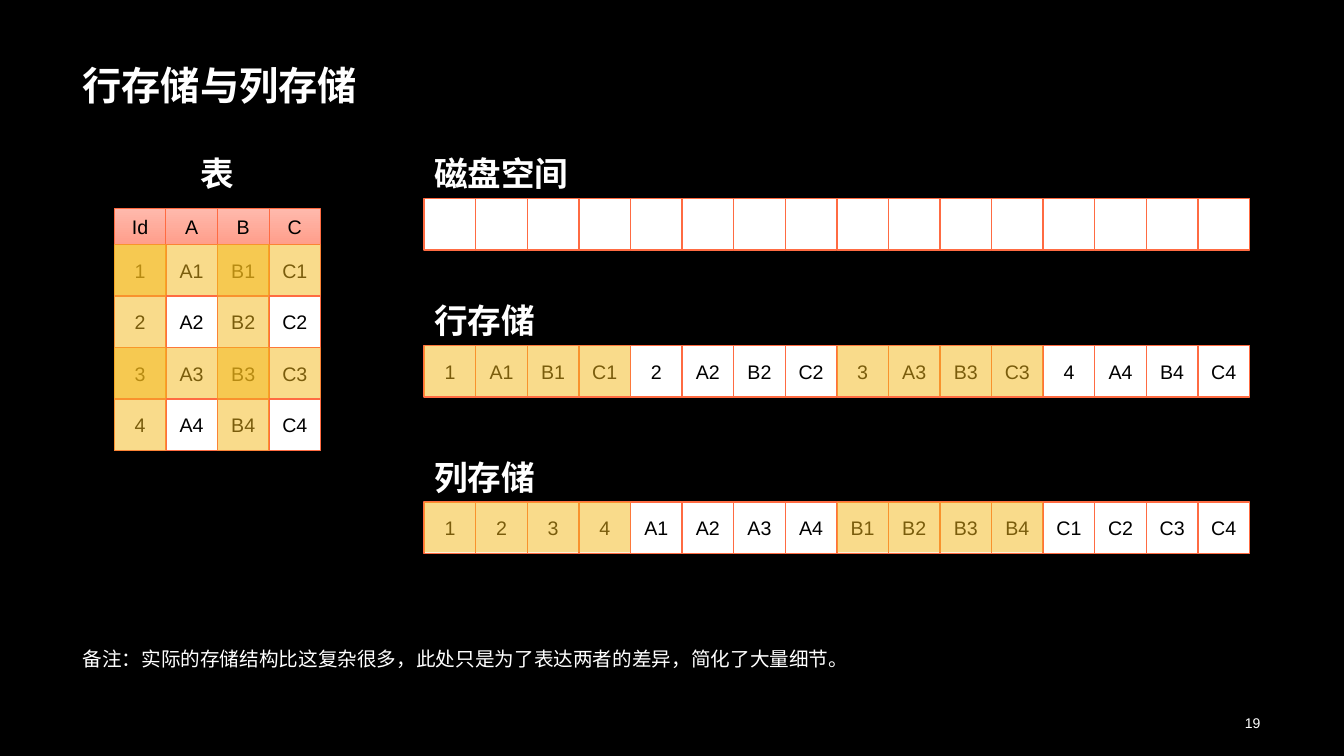
import dataclasses
import typing

import pptx
import pptx.dml.color
import pptx.enum.shapes
import pptx.enum.text
import pptx.oxml.ns
import pptx.util
from lxml import etree

Cm = pptx.util.Cm
Pt = pptx.util.Pt
ALIGN = pptx.enum.text.PP_ALIGN
ANCHOR = pptx.enum.text.MSO_ANCHOR

CELL = 1.3
HEAD = 0.9
LABEL = 1.27
SPAN = 4
GRID_X = 2.88
GRID_Y = 6.16
STRIP_X = 10.69
WHITE, BLACK, ORANGE, GOLD = "FFFFFF", "000000", "FF6B42", "F4B919"
PINKS = ("FFB9AC", "FF9E8B")


@dataclasses.dataclass(frozen=True)
class Box:
    x: float
    y: float
    w: float
    h: float

    def place(self) -> tuple:
        return Cm(self.x), Cm(self.y), Cm(self.w), Cm(self.h)


@dataclasses.dataclass(frozen=True)
class Strip:
    label: str
    y: float
    width: float
    cells: list[str]
    bands: tuple[int, ...] = ()


def color(code: str) -> pptx.dml.color.RGBColor:
    return pptx.dml.color.RGBColor.from_string(code)


def write(frame: typing.Any, text: str, size: float, tint: str = WHITE,
          bold: bool = False, align: typing.Any = ALIGN.LEFT,
          anchor: typing.Any = ANCHOR.TOP) -> None:
    frame.word_wrap = True
    frame.vertical_anchor = anchor
    para = frame.paragraphs[0]
    para.text = text
    para.alignment = align
    for key, value in {"name": "Arial", "size": Pt(size), "bold": bold}.items():
        setattr(para.font, key, value)
    para.font.color.rgb = color(tint)


def note(slide: typing.Any, box: Box, text: str, size: float,
         **style: typing.Any) -> None:
    write(slide.shapes.add_textbox(*box.place()).text_frame, text, size, **style)


def rect(slide: typing.Any, box: Box) -> typing.Any:
    kind = pptx.enum.shapes.MSO_SHAPE.RECTANGLE
    shape = slide.shapes.add_shape(kind, *box.place())
    shape.shadow.inherit = False
    return shape


def cell(slide: typing.Any, box: Box, text: str, head: bool = False) -> None:
    shape = rect(slide, box)
    if head:
        shape.fill.gradient()
        shape.fill.gradient_angle = 270
        for stop, code in zip(shape.fill.gradient_stops, PINKS):
            stop.color.rgb = color(code)
    else:
        shape.fill.solid()
        shape.fill.fore_color.rgb = color(WHITE)
    shape.line.color.rgb = color(ORANGE)
    shape.line.width = Pt(0.5 if head else 1)
    if text:
        write(shape.text_frame, text, 14, BLACK,
              align=ALIGN.CENTER, anchor=ANCHOR.MIDDLE)


def band(slide: typing.Any, box: Box) -> None:
    shape = rect(slide, box)
    shape.fill.solid()
    shape.fill.fore_color.rgb = color(GOLD)
    shape.line.fill.background()
    tint = next(shape._element.spPr.iter(pptx.oxml.ns.qn("a:srgbClr")))
    etree.SubElement(tint, pptx.oxml.ns.qn("a:alpha")).set("val", "50000")


def draw_strip(slide: typing.Any, strip: Strip) -> None:
    for i, text in enumerate(strip.cells):
        cell(slide, Box(STRIP_X + i * CELL, strip.y, CELL, CELL), text)
    note(slide, Box(STRIP_X, strip.y - LABEL, strip.width, LABEL),
         strip.label, 24, bold=True)
    for start in strip.bands:
        band(slide, Box(STRIP_X + start * CELL, strip.y, SPAN * CELL, LABEL))


def draw_grid(slide: typing.Any, heads: list[str], rows: list[list[str]]) -> None:
    side = SPAN * CELL
    for c, text in enumerate(heads):
        cell(slide, Box(GRID_X + c * CELL, GRID_Y - HEAD, CELL, HEAD), text, True)
    for r, row in enumerate(rows):
        for c, text in enumerate(row):
            cell(slide, Box(GRID_X + c * CELL, GRID_Y + r * CELL, CELL, CELL), text)
    note(slide, Box(GRID_X, 3.73, side, LABEL), "表", 24,
         bold=True, align=ALIGN.CENTER)
    for i in (0, 2):
        band(slide, Box(GRID_X, GRID_Y + i * CELL, side, LABEL))
    for i in (0, 2):
        band(slide, Box(GRID_X + i * CELL, GRID_Y, CELL, side))


def main() -> None:
    deck = pptx.Presentation()
    deck.slide_width, deck.slide_height = Cm(33.87), Cm(19.05)
    slide = deck.slides.add_slide(deck.slide_layouts[5])
    slide.background.fill.solid()
    slide.background.fill.fore_color.rgb = color(BLACK)

    title = slide.shapes.title
    title.left, title.top, title.width, title.height = Box(1.83, 1.52, 30.18, 1.35).place()
    write(title.text_frame, "行存储与列存储", 28, bold=True, anchor=ANCHOR.BOTTOM)
    title.text_frame.paragraphs[0].line_spacing = 0.9

    rows = [[f"{name}{n}" for name in ("", "A", "B", "C")] for n in range(1, 5)]
    by_row = [text for row in rows for text in row]
    by_col = [text for col in zip(*rows) for text in col]
    draw_grid(slide, ["Id", "A", "B", "C"], rows)
    for strip in (
        Strip("磁盘空间", 5, 8.05, [""] * 16),
        Strip("行存储", 8.71, 20.8, by_row, (0, 8)),
        Strip("列存储", 12.65, 5.2, by_col, (0, 8)),
    ):
        draw_strip(slide, strip)

    note(slide, Box(1.83, 16.18, 30.18, 0.86),
         "备注：实际的存储结构比这复杂很多，此处只是为了表达两者的差异，简化了大量细节。", 14)
    note(slide, Box(24.61, 17.86, 7.4, 0.69), "19", 10,
         align=ALIGN.RIGHT, anchor=ANCHOR.MIDDLE)
    deck.save("out.pptx")


if __name__ == "__main__":
    main()
